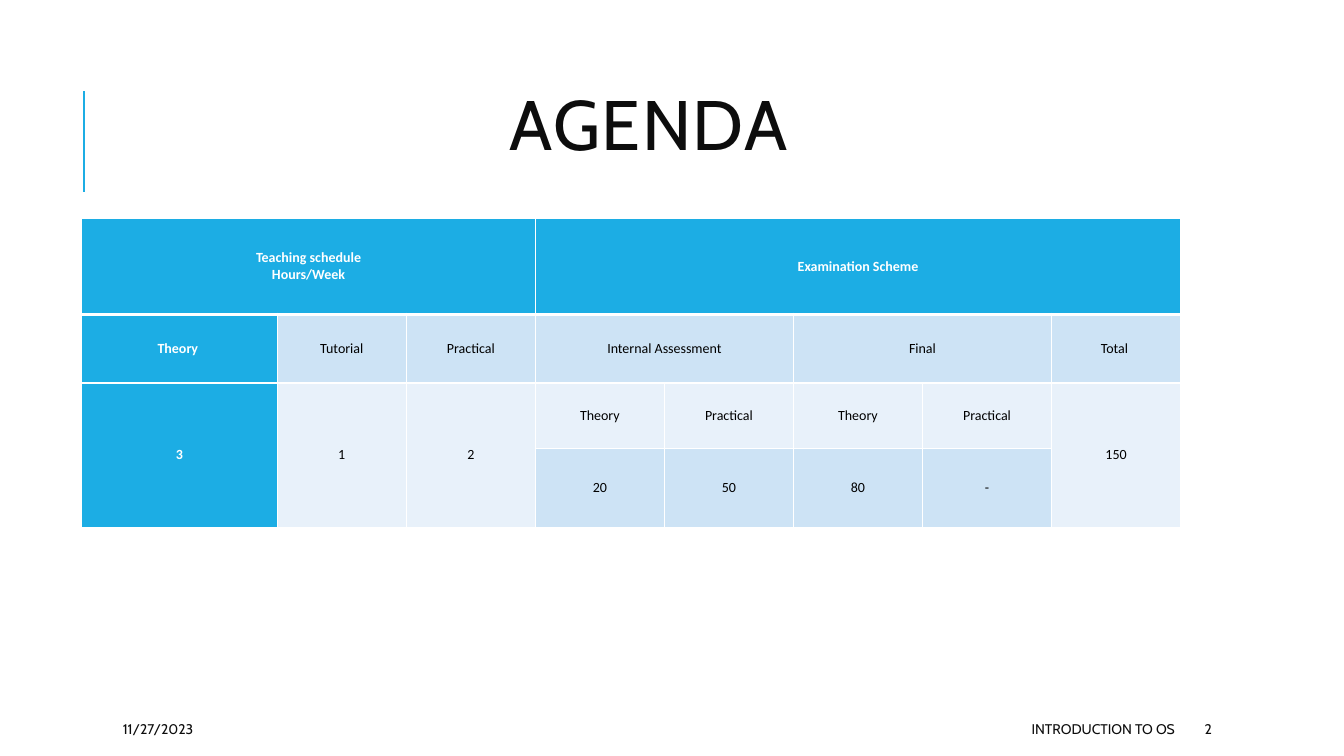
import dataclasses
import typing

import pptx
import pptx.dml.color
import pptx.enum.shapes
import pptx.enum.text
import pptx.oxml
import pptx.oxml.ns
import pptx.util

ALIGN = pptx.enum.text.PP_ALIGN
MIDDLE = pptx.enum.text.MSO_ANCHOR.MIDDLE
SCALE = 9144  # EMU in one px, at 100 px to the inch


@dataclasses.dataclass(frozen=True)
class Theme:
    accent: str = "1CADE4"
    band: str = "CDE3F5"
    pale: str = "E8F1FA"
    white: str = "FFFFFF"
    black: str = "000000"
    ink: str = "0D0D0D"
    head: str = "Cabin"
    body: str = "Calibri"
    big: int = 50
    small: int = 10
    rule: float = 1.5
    thin: int = 1
    thick: int = 3


THEME = Theme()


class Label(typing.NamedTuple):
    text: str
    left: int
    top: int
    width: int
    height: int
    align: ALIGN = ALIGN.LEFT
    size: int = THEME.small
    leading: float = 1.0
    track: int = 0  # letter spacing in hundredths of a point


class Entry(typing.NamedTuple):
    row: int
    col: int
    text: str
    fill: str
    rows: int = 1
    cols: int = 1


LABELS = [
    Label("AGENDA", 112, 64, 1063, 131, ALIGN.CENTER, THEME.big, 0.8, 100),
    Label("11/27/2023", 112, 708, 236, 30),
    Label("INTRODUCTION TO OS", 530, 708, 645, 30, ALIGN.RIGHT),
    Label("2", 1185, 708, 106, 30),
]

WIDTHS = [194] + [128] * 7
HEIGHTS = [95, 68, 65, 78]
ENTRIES = [
    Entry(0, 0, "Teaching schedule\nHours/Week", THEME.accent, cols=3),
    Entry(0, 3, "Examination Scheme", THEME.accent, cols=5),
    Entry(1, 0, "Theory ", THEME.accent),
    Entry(1, 1, "Tutorial", THEME.band),
    Entry(1, 2, "Practical", THEME.band),
    Entry(1, 3, "Internal Assessment", THEME.band, cols=2),
    Entry(1, 5, "Final", THEME.band, cols=2),
    Entry(1, 7, "Total ", THEME.band),
    Entry(2, 0, "3", THEME.accent, rows=2),
    Entry(2, 1, "1", THEME.pale, rows=2),
    Entry(2, 2, "2", THEME.pale, rows=2),
    Entry(2, 7, "150", THEME.pale, rows=2),
]
MARKS = [("Theory", "20"), ("Practical", "50"), ("Theory", "80"), ("Practical", "-")]
for col, (name, mark) in enumerate(MARKS, start=3):
    ENTRIES += [Entry(2, col, name, THEME.pale), Entry(3, col, mark, THEME.band)]


def px(count: int) -> pptx.util.Emu:
    return pptx.util.Emu(count * SCALE)


def rgb(code: str) -> pptx.dml.color.RGBColor:
    return pptx.dml.color.RGBColor.from_string(code)


def write(para, text: str, face: str, size: int, color: str, bold: bool = False):
    """Add one styled run to a paragraph and return it."""
    run = para.add_run()
    run.text = text
    run.font.name = face
    run.font.size = pptx.util.Pt(size)
    run.font.bold = bold
    run.font.color.rgb = rgb(color)
    return run


def add_label(slide, label: Label) -> None:
    box = slide.shapes.add_textbox(
        px(label.left), px(label.top), px(label.width), px(label.height))
    frame = box.text_frame
    frame.word_wrap = True
    frame.vertical_anchor = MIDDLE
    para = frame.paragraphs[0]
    para.alignment = label.align
    para.line_spacing = label.leading
    run = write(para, label.text, THEME.head, label.size, THEME.ink)
    if label.track:
        run._r.get_or_add_rPr().set("spc", str(label.track))


def add_rule(slide) -> None:
    line = slide.shapes.add_connector(
        pptx.enum.shapes.MSO_CONNECTOR.STRAIGHT, px(83), px(190), px(83), px(90))
    line.line.color.rgb = rgb(THEME.accent)
    line.line.width = pptx.util.Pt(THEME.rule)
    props = line._element.spPr
    props.append(pptx.oxml.parse_xml(
        f'<a:effectLst {pptx.oxml.ns.nsdecls("a")}/>'))


def add_edges(cell, row: int) -> None:
    """Draw white borders, thicker between the heading row and the next."""
    props = cell._tc.get_or_add_tcPr()
    for side in "LRTB":
        heavy = (row, side) in {(0, "B"), (1, "T")}
        width = pptx.util.Pt(THEME.thick if heavy else THEME.thin)
        props.append(pptx.oxml.parse_xml(
            f'<a:ln{side} {pptx.oxml.ns.nsdecls("a")} w="{width}"><a:solidFill>'
            f'<a:srgbClr val="{THEME.white}"/></a:solidFill></a:ln{side}>'))


def add_entry(table, entry: Entry) -> None:
    for row in range(entry.row, entry.row + entry.rows):
        for col in range(entry.col, entry.col + entry.cols):
            cell = table.cell(row, col)
            add_edges(cell, row)
            cell.fill.solid()
            cell.fill.fore_color.rgb = rgb(entry.fill)
            cell.vertical_anchor = MIDDLE
            cell.margin_left = cell.margin_right = px(7)
            cell.margin_top = cell.margin_bottom = 0
    first = table.cell(entry.row, entry.col)
    if entry.rows * entry.cols > 1:
        first.merge(table.cell(
            entry.row + entry.rows - 1, entry.col + entry.cols - 1))
    strong = entry.fill == THEME.accent
    color = THEME.white if strong else THEME.black
    frame = first.text_frame
    for i, text in enumerate(entry.text.split("\n")):
        para = frame.add_paragraph() if i else frame.paragraphs[0]
        para.alignment = ALIGN.CENTER
        write(para, text, THEME.body, THEME.small, color, strong)


def add_grid(slide) -> None:
    table = slide.shapes.add_table(
        len(HEIGHTS), len(WIDTHS), px(81), px(217),
        px(sum(WIDTHS)), px(sum(HEIGHTS))).table
    table.first_row = table.horz_banding = False
    for column, width in zip(table.columns, WIDTHS):
        column.width = px(width)
    for row, height in zip(table.rows, HEIGHTS):
        row.height = px(height)
    for entry in ENTRIES:
        add_entry(table, entry)


def main() -> None:
    deck = pptx.Presentation()
    deck.slide_width, deck.slide_height = px(1333), px(750)
    slide = deck.slides.add_slide(deck.slide_layouts[6])
    add_rule(slide)
    add_grid(slide)
    for label in LABELS:
        add_label(slide, label)
    deck.save("out.pptx")


if __name__ == "__main__":
    main()
